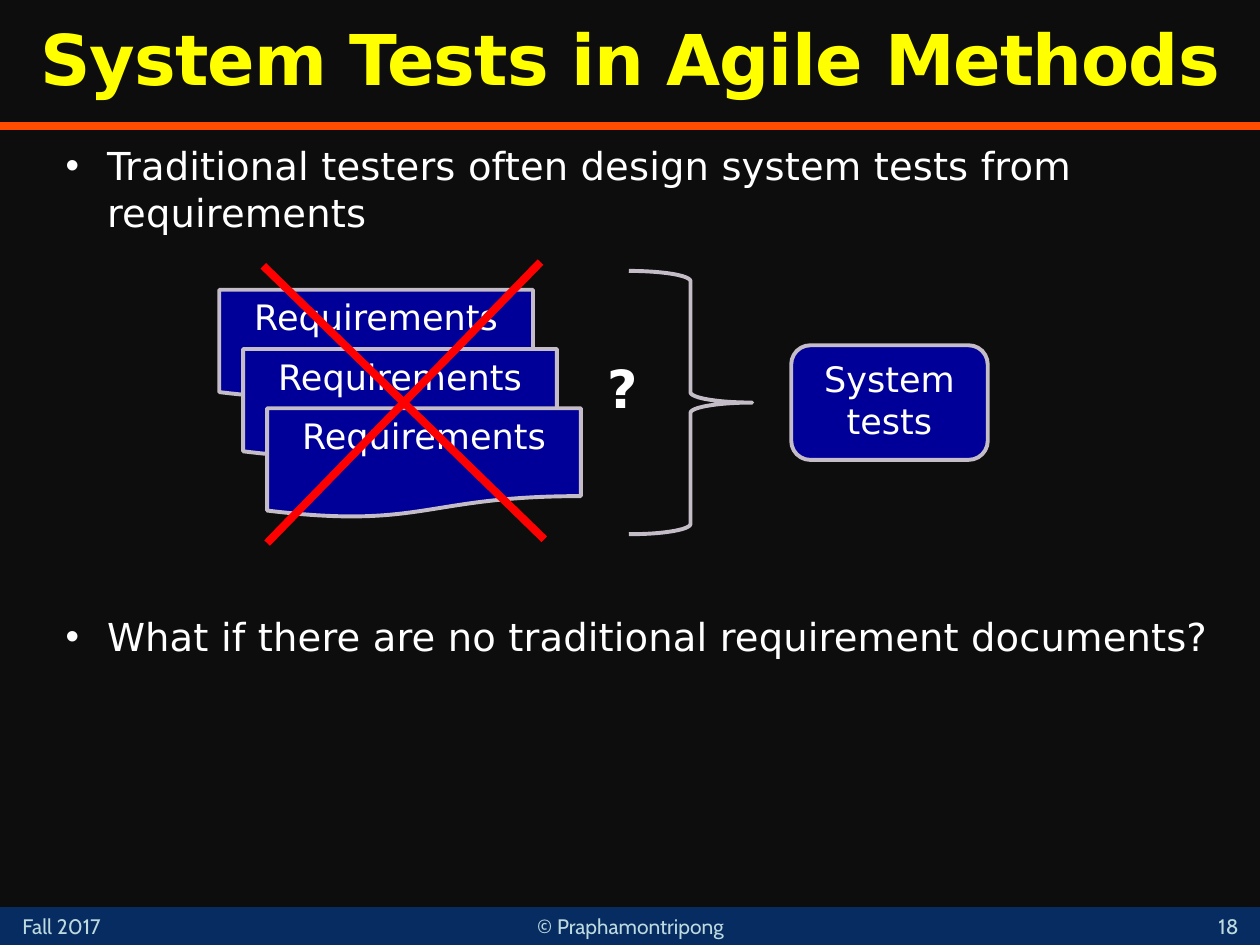
from lxml import etree
from pptx import Presentation
from pptx.dml.color import RGBColor
from pptx.enum.shapes import MSO_CONNECTOR, MSO_SHAPE
from pptx.enum.text import MSO_ANCHOR, MSO_AUTO_SIZE, PP_ALIGN
from pptx.oxml.ns import qn
from pptx.util import Inches, Pt

BACKGROUND = RGBColor(0x0D, 0x0D, 0x0D)
BAND = RGBColor(0x07, 0x2C, 0x62)
ORANGE = RGBColor(0xFF, 0x4C, 0x00)
PALE = RGBColor(0xBD, 0xDA, 0xDF)
YELLOW = RGBColor(0xFF, 0xFF, 0x00)
WHITE = RGBColor(0xFF, 0xFF, 0xFF)
NAVY = RGBColor(0x00, 0x00, 0x99)
OUTLINE = RGBColor(0xC4, 0xBC, 0xC6)
RED = RGBColor(0xFF, 0x00, 0x00)

RECT, ROUNDED = MSO_SHAPE.RECTANGLE, MSO_SHAPE.ROUNDED_RECTANGLE
DOCUMENT, BRACE = MSO_SHAPE.FLOWCHART_DOCUMENT, MSO_SHAPE.RIGHT_BRACE
STRAIGHT = MSO_CONNECTOR.STRAIGHT
LEFT, CENTER = PP_ALIGN.LEFT, PP_ALIGN.CENTER
TOP, MIDDLE, BOTTOM = MSO_ANCHOR.TOP, MSO_ANCHOR.MIDDLE, MSO_ANCHOR.BOTTOM
NO_FIT = MSO_AUTO_SIZE.NONE

BODY_FONT, FOOTER_FONT = "DejaVu Sans", "Cabin"


def inches(box):
    return [Inches(v) for v in box]


def write(p, text, size, color=WHITE, font=BODY_FONT, bold=False,
          align=LEFT, spacing=0):
    """Fill a paragraph with one formatted run; spacing is in points."""
    p.alignment = align
    r = p.add_run()
    r.text = text
    for name, value in {"size": Pt(size), "name": font, "bold": bold}.items():
        setattr(r.font, name, value)
    r.font.color.rgb = color
    if spacing:
        r.font._element.set("spc", str(round(spacing * 100)))


def place(sp, box):
    sp.left, sp.top, sp.width, sp.height = inches(box)


def add_shape(s, kind, box, fill=None, outline=None, text=""):
    sp = s.shapes.add_shape(kind, *inches(box))
    sp.shadow.inherit = False
    if fill is None:
        sp.fill.background()
    else:
        sp.fill.solid()
        sp.fill.fore_color.rgb = fill
    if outline is None:
        sp.line.fill.background()
    else:
        sp.line.color.rgb = outline
        sp.line.width = Pt(2.25)
    if text:
        tf = sp.text_frame
        tf.word_wrap = True
        tf.vertical_anchor = TOP
        write(tf.paragraphs[0], text, 20, align=CENTER)
    return sp


def add_line(s, start, end, color):
    line = s.shapes.add_connector(STRAIGHT, *inches(start + end))
    line.line.color.rgb = color
    line.line.width = Pt(4.5)
    etree.SubElement(line._element.spPr, qn("a:effectLst"))


def add_text(s, box, text, size, anchor=TOP, wrap=True, **style):
    tf = s.shapes.add_textbox(*inches(box)).text_frame
    tf.word_wrap = wrap
    tf.vertical_anchor = anchor
    write(tf.paragraphs[0], text, size, **style)


def add_footer(s, box):
    x, y, w, h = box
    add_shape(s, RECT, box, BAND)
    style = {"size": 12, "color": PALE, "font": FOOTER_FONT}
    add_text(s, (x + 0.08, y, 1.17, h), "Fall 2017", **style)
    add_text(s, (x + w - 0.5, y - 0.03, 0.5, h + 0.03), "18",
             anchor=BOTTOM, align=CENTER, **style)
    add_text(s, (x + w / 2 - 1.33, y, 2.67, h), "© Praphamontripong",
             align=CENTER, **style)


def add_title(s, box):
    x, y, w, h = box
    title = s.shapes.title
    place(title, box)
    tf = title.text_frame
    tf.auto_size = NO_FIT
    tf.vertical_anchor = MIDDLE
    p = tf.paragraphs[0]
    p.line_spacing = 0.9
    write(p, "System Tests in Agile Methods", 40, YELLOW, bold=True,
          align=CENTER, spacing=-0.5)
    # Rule below the title
    add_line(s, (x, y + h), (x + w, y + h), ORANGE)


def add_bullets(s, box):
    body = s.placeholders[1]
    place(body, box)
    tf = body.text_frame
    tf.auto_size = NO_FIT
    # The second bullet's space before leaves room for the diagram
    bullets = [("Traditional testers often design system tests from requirements", 0),
               ("What if there are no traditional requirement documents?", 214)]
    for i, (text, before) in enumerate(bullets):
        p = tf.add_paragraph() if i else tf.paragraphs[0]
        p.space_before, p.space_after = Pt(before), Pt(2)
        pPr = p._p.get_or_add_pPr()
        pPr.set("marL", str(Inches(0.33)))
        pPr.set("indent", str(-Inches(0.33)))
        etree.SubElement(pPr, qn("a:buChar"), char="•")
        write(p, text, 22, spacing=0.1)


def add_diagram(s, box):
    x, y, w, h = box
    # Brace leading to the system tests
    add_shape(s, BRACE, (x + 3.25, y + 0.07, 0.98, 2.09), outline=OUTLINE)
    add_shape(s, ROUNDED, (x + w - 1.56, y + 0.66, 1.56, 0.91),
              NAVY, OUTLINE, "System tests")
    # Cascade of requirement documents
    for i in range(3):
        add_shape(s, DOCUMENT, (x + 0.19 * i, y + 0.22 + 0.47 * i, 2.49, 0.87),
                  NAVY, OUTLINE, "Requirements")
    # Red cross over the documents
    add_line(s, (x + 0.35, y + 0.03), (x + 2.58, y + 2.2), RED)
    add_line(s, (x + 2.55, y), (x + 0.38, y + h), RED)
    add_text(s, (x + 2.98, y + 0.7, 0.46, 0.61), "?", 30, wrap=False, bold=True)


def main():
    prs = Presentation()
    prs.slide_width, prs.slide_height = Inches(10), Inches(7.5)
    s = prs.slides.add_slide(prs.slide_layouts[1])
    s.background.fill.solid()
    s.background.fill.fore_color.rgb = BACKGROUND
    add_footer(s, (0, 7.2, 10, 0.3))
    add_title(s, (0, 0, 10, 1))
    add_bullets(s, (0.42, 1.08, 9.33, 6))
    add_diagram(s, (1.74, 2.08, 6.1, 2.23))
    prs.save("out.pptx")


if __name__ == "__main__":
    main()
